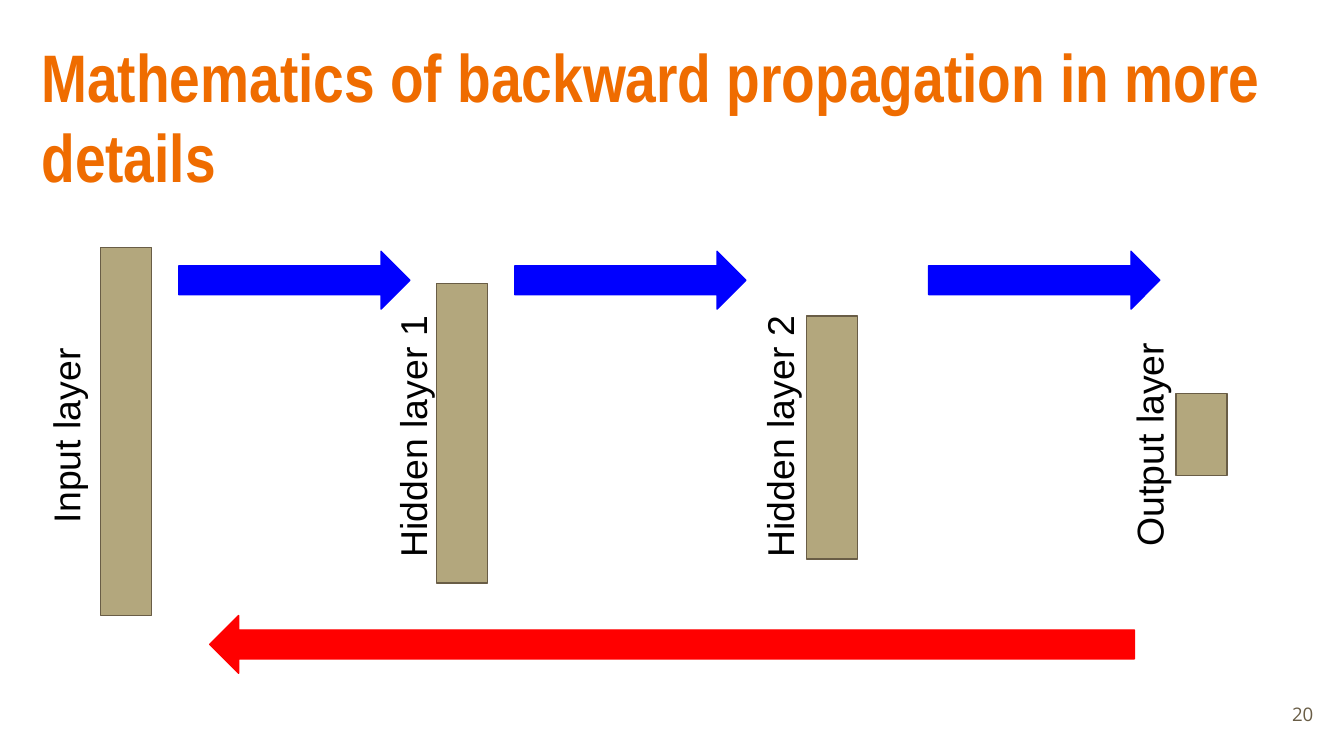
from pptx import Presentation
from pptx.dml.color import RGBColor
from pptx.enum.shapes import MSO_SHAPE
from pptx.enum.text import MSO_ANCHOR, PP_ALIGN
from pptx.util import Inches, Pt

RECTANGLE = MSO_SHAPE.RECTANGLE
RIGHT_ARROW = MSO_SHAPE.RIGHT_ARROW
TOP, MIDDLE = MSO_ANCHOR.TOP, MSO_ANCHOR.MIDDLE
LEFT, RIGHT = PP_ALIGN.LEFT, PP_ALIGN.RIGHT

ORANGE = RGBColor(0xEF, 0x6C, 0x00)
BROWN = RGBColor(0x69, 0x5D, 0x46)
TAN = RGBColor(0xB3, 0xA7, 0x7D)
BLACK = RGBColor(0x00, 0x00, 0x00)
BLUE = RGBColor(0x00, 0x00, 0xFF)
RED = RGBColor(0xFF, 0x00, 0x00)

SLIDE_WIDTH = 10
SLIDE_HEIGHT = SLIDE_WIDTH * 9 / 16
BAR_WIDTH = 0.38
LABEL_HEIGHT = 0.66
ARROW_HEIGHT = 0.43
FORWARD_WIDTH = 1.72

# Name, bar left, top and height, label centre x and y, label length
LAYERS = [
    ("Input layer", 0.75, 1.84, 2.74, 0.55, 3.15, 1.68),
    ("Hidden layer 1", 3.25, 2.11, 2.23, 3.13, 3.15, 2.19),
    ("Hidden layer 2", 6, 2.35, 1.81, 5.86, 3.15, 2.19),
    ("Output layer", 8.75, 2.93, 0.61, 8.61, 3.07, 2.19),
]
FORWARD_LEFTS = [1.33, 3.83, 6.91]


def add_text(slide, box, text, font_name, size, color, bold=False,
             align=LEFT, anchor=TOP):
    shape = slide.shapes.add_textbox(*map(Inches, box))
    frame = shape.text_frame
    frame.word_wrap = True
    frame.vertical_anchor = anchor
    frame.margin_left = frame.margin_right = Inches(0.1)
    frame.margin_top = frame.margin_bottom = Inches(0.1)
    frame.text = text
    paragraph = frame.paragraphs[0]
    paragraph.alignment = align
    font = paragraph.runs[0].font
    font.name, font.size, font.bold = font_name, Pt(size), bold
    font.color.rgb = color
    return shape


def add_block(slide, kind, box, fill, line):
    shape = slide.shapes.add_shape(kind, *map(Inches, box))
    shape.shadow.inherit = False
    shape.fill.solid()
    shape.fill.fore_color.rgb = fill
    shape.line.color.rgb = line
    shape.line.width = Pt(0.75)
    return shape


def add_layer(slide, name, left, top, height, center_x, center_y, length):
    """A bar with its name reading upwards beside it."""
    add_block(slide, RECTANGLE, (left, top, BAR_WIDTH, height), TAN, BROWN)
    label_box = (center_x - length / 2, center_y - LABEL_HEIGHT / 2,
                 length, LABEL_HEIGHT)
    label = add_text(slide, label_box, name, "Arial", 20, BLACK)
    label.rotation = 270


def add_network(slide, left, top):
    """The layers and passes, offset from the given corner."""
    for name, bar_left, bar_top, height, center_x, center_y, length in LAYERS:
        add_layer(slide, name, left + bar_left, top + bar_top, height,
                  left + center_x, top + center_y, length)

    # Forward pass
    for arrow_left in FORWARD_LEFTS:
        box = (left + arrow_left, top + 1.87, FORWARD_WIDTH, ARROW_HEIGHT)
        add_block(slide, RIGHT_ARROW, box, BLUE, BLUE)

    # Backward pass
    box = (left + 1.56, top + 4.58, 6.88, ARROW_HEIGHT)
    add_block(slide, RIGHT_ARROW, box, RED, RED).rotation = 180


def main():
    presentation = Presentation()
    presentation.slide_width = Inches(SLIDE_WIDTH)
    presentation.slide_height = Inches(SLIDE_HEIGHT)
    slide = presentation.slides.add_slide(presentation.slide_layouts[6])

    # Title and page number
    add_text(slide, (0.21, 0.16, 9.79, 1.44),
             "Mathematics of backward propagation in more details",
             "Arial Narrow", 36, ORANGE, bold=True)
    add_text(slide, (9.27, 5.1, 0.6, 0.43), "20", "Open Sans", 10, BROWN,
             align=RIGHT, anchor=MIDDLE)

    add_network(slide, 0, 0)
    presentation.save("out.pptx")


if __name__ == "__main__":
    main()
